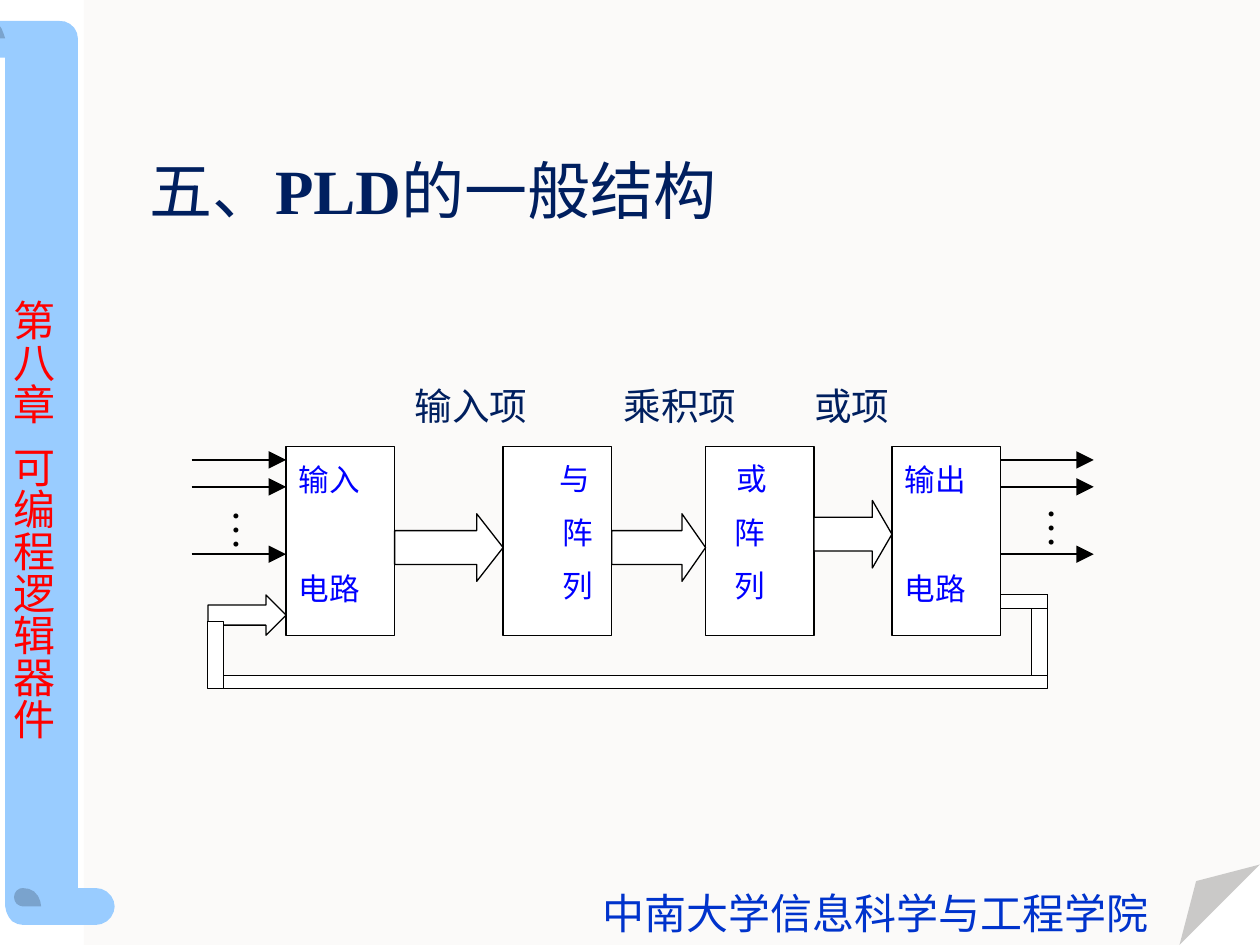
from lxml import etree
from pptx import Presentation
from pptx import util as u
from pptx.dml.color import RGBColor
from pptx.enum import shapes, text
from pptx.oxml import ns

Pt = u.Pt
COLORS = {
    "panel": "FBFAF9", "fold": "CAC9C8", "scroll": "99CCFF", "curl": "7AA3CD",
    "chapter": "FF0000", "navy": "001F5F", "block": "0000FF",
    "school": "0033CC", "black": "000000", "white": "FFFFFF",
}
COLORS = {name: RGBColor.from_string(value) for name, value in COLORS.items()}
CJK, LATIN = "Noto Sans CJK SC", "Times New Roman"

presentation = Presentation()
presentation.slide_width, presentation.slide_height = Pt(720), Pt(540)
slide = presentation.slides.add_slide(presentation.slide_layouts[6])
slide.background.fill.solid()
slide.background.fill.fore_color.rgb = COLORS["white"]


def write(frame, words, size=24, color="navy", font=CJK, bold=False, join=False,
          line=None, before=0, indent=0, first=0, right=0):
    """Add words to a text frame, in a new paragraph unless join is set."""
    paragraph = frame.paragraphs[-1]
    if paragraph.runs and not join:
        paragraph = frame.add_paragraph()
    if not join:
        paragraph.alignment = text.PP_ALIGN.LEFT
        paragraph.space_before = Pt(before)
        if line:
            paragraph.line_spacing = line
        properties = paragraph._p.get_or_add_pPr()
        for key, value in (("marL", indent), ("marR", right), ("indent", first)):
            properties.set(key, str(int(Pt(value))))
    run = paragraph.add_run()
    run.text = words
    run.font.size, run.font.bold, run.font.name = Pt(size), bold, font
    run.font.color.rgb = COLORS[color]
    east_asian = etree.SubElement(run._r.get_or_add_rPr(), ns.qn("a:ea"))
    east_asian.set("typeface", font)


def text_frame(left, top, width, height, inset=0):
    """Add a wrapping text box and return its frame."""
    frame = slide.shapes.add_textbox(Pt(left), Pt(top), Pt(width), Pt(height)).text_frame
    frame.word_wrap = True
    frame.auto_size = text.MSO_AUTO_SIZE.SHAPE_TO_FIT_TEXT
    frame.margin_left = frame.margin_right = frame.margin_bottom = 0
    frame.margin_top = Pt(inset)
    return frame


# Page panel, folded corner and scroll
outlines = [
    ("panel", [(720, 0), (48, 0), (48, 540), (674, 540), (720, 494)]),
    ("fold", [(720, 494), (683.5, 503.5), (674, 540)]),
    ("scroll", [(34, 12), (0, 12), (0, 33), (3, 33), (3, 518), (3.6, 521), (5, 524),
                (7, 526.5), (10, 528), (13, 528.5), (55, 528.5), (58, 528),
                (61, 526.5), (63.5, 524), (65, 521), (65.5, 518), (65, 515),
                (63.5, 512), (61, 509.5), (58, 508), (55, 507.5), (44.5, 507.5),
                (44.5, 22), (44, 19), (42.5, 16), (40, 13.7), (37, 12.3)]),
    ("curl", [(13, 507.5), (11.3, 507.8), (9.5, 509), (8.4, 510.7), (8, 512.7),
              (8.4, 514.7), (9.5, 516.5), (11.3, 517.6), (13, 518), (23.5, 518),
              (23, 515), (21.7, 512), (19.5, 509.5), (16.5, 508)]),
    ("curl", [(0, 15), (0, 22), (3, 22), (2, 19), (1, 16.5)]),
]
for color, points in outlines:
    builder = slide.shapes.build_freeform(Pt(points[0][0]), Pt(points[0][1]))
    builder.add_line_segments([(Pt(x), Pt(y)) for x, y in points[1:]], close=True)
    shape = builder.convert_to_shape()
    shape.shadow.inherit = False
    shape.fill.solid()
    shape.fill.fore_color.rgb = COLORS[color]
    shape.line.fill.background()

# Chapter name on the scroll
chapter = text_frame(7, 167, 26, 259, inset=5.8)
write(chapter, "第 八 章", color="chapter", line=Pt(24), indent=0.7)
write(chapter, "可 编 程 逻 辑 器 件", color="chapter", line=Pt(24), before=12, indent=0.7)

# Title
title = text_frame(84.5, 85.7, 327, 45, inset=1)
write(title, "五、", size=36, indent=0.7)
write(title, "PLD", size=36, font=LATIN, bold=True, join=True)
write(title, "的一般结构", size=36, join=True)

# Signal names above the block arrows
for left, width, words in ((236.3, 67, "输入项"), (355.6, 67, "乘积项"), (464.6, 45.5, "或项")):
    write(text_frame(left, 217.5, width, 28, inset=1.3), words, size=21.5, indent=0.7)

# Blocks, block arrows and feedback bars: left, top, width, height, head ratio
BLOCK_TOP, BLOCK_WIDTH, BLOCK_HEIGHT = 255, 62, 108
block_lefts = {"input": 163.5, "and": 287.5, "or": 403.2, "output": 509.7}
parts = [(name, left, BLOCK_TOP, BLOCK_WIDTH, BLOCK_HEIGHT, None)
         for name, left in block_lefts.items()]
parts += [
    ("product terms", 349.6, 293.6, 53.6, 38.6, 0.35),
    ("input terms", 225.5, 293.6, 62, 38.6, 0.39),
    ("feedback", 118.8, 340, 44.7, 23, 0.5),
    ("left bar", 118.8, 355.2, 9, 38.4, None),
    ("bottom bar", 127.8, 385.9, 470.7, 7.7, None),
    ("or terms", 465.2, 286, 44.5, 38.6, 0.29),
    ("right bar", 589.5, 339.9, 9, 46, None),
    ("top bar", 571.7, 339.9, 26.8, 7.7, None),
]
blocks = {}
for name, left, top, width, height, head in parts:
    kind = shapes.MSO_SHAPE.RIGHT_ARROW if head else shapes.MSO_SHAPE.RECTANGLE
    shape = slide.shapes.add_shape(kind, Pt(left), Pt(top), Pt(width), Pt(height))
    shape.shadow.inherit = False
    shape.fill.solid()
    shape.fill.fore_color.rgb = COLORS["white"]
    shape.line.color.rgb = COLORS["black"]
    shape.line.width = Pt(0.75)
    if head:
        shape.adjustments[0], shape.adjustments[1] = 0.5, head
    blocks[name] = shape

# Names inside the blocks
for name, words in (("input", "输入"), ("output", "输出")):
    for top, label in ((262, words), (324, "电路")):
        frame = text_frame(block_lefts[name] + 7.2, top, 37, 23, inset=1.4)
        write(frame, label, size=17.5, color="block")
for name, word, indent, first, right in (("and", "与", 34, -2, 0), ("or", "或", 16.5, 1.3, 16)):
    frame = blocks[name].text_frame
    frame.word_wrap = True
    frame.vertical_anchor = text.MSO_ANCHOR.TOP
    frame.margin_left = frame.margin_right = frame.margin_bottom = 0
    frame.margin_top = Pt(8)
    write(frame, word, size=17.5, color="block", indent=indent, first=first)
    write(frame, "阵 列", size=17.5, color="block", indent=indent, right=right, line=1.46)

# Input and output lines
for left, right in ((109.5, 163.5), (571.5, 625)):
    for y in (262.8, 278.2, 316.7):
        line = slide.shapes.add_connector(
            shapes.MSO_CONNECTOR.STRAIGHT, Pt(left), Pt(y), Pt(right), Pt(y))
        line.line.color.rgb = COLORS["black"]
        line.line.width = Pt(1.25)
        etree.SubElement(line.line._get_or_add_ln(), ns.qn("a:tailEnd"),
                         type="triangle", w="lg", len="lg")
        etree.SubElement(line._element.spPr, ns.qn("a:effectLst"))

# Vertical dots between the lines
for left, top in ((127.4, 290.2), (593.3, 289.4)):
    frame = text_frame(left, top, 28.8, 26)
    frame._txBody.bodyPr.set("vert", "vert")
    write(frame, "…", color="black", font=LATIN, line=Pt(27.2), indent=0.7)

# School name
write(text_frame(343.4, 509.8, 314, 26), "中南大学信息科学与工程学院",
      color="school", line=Pt(26), indent=0.7)

presentation.save("out.pptx")
